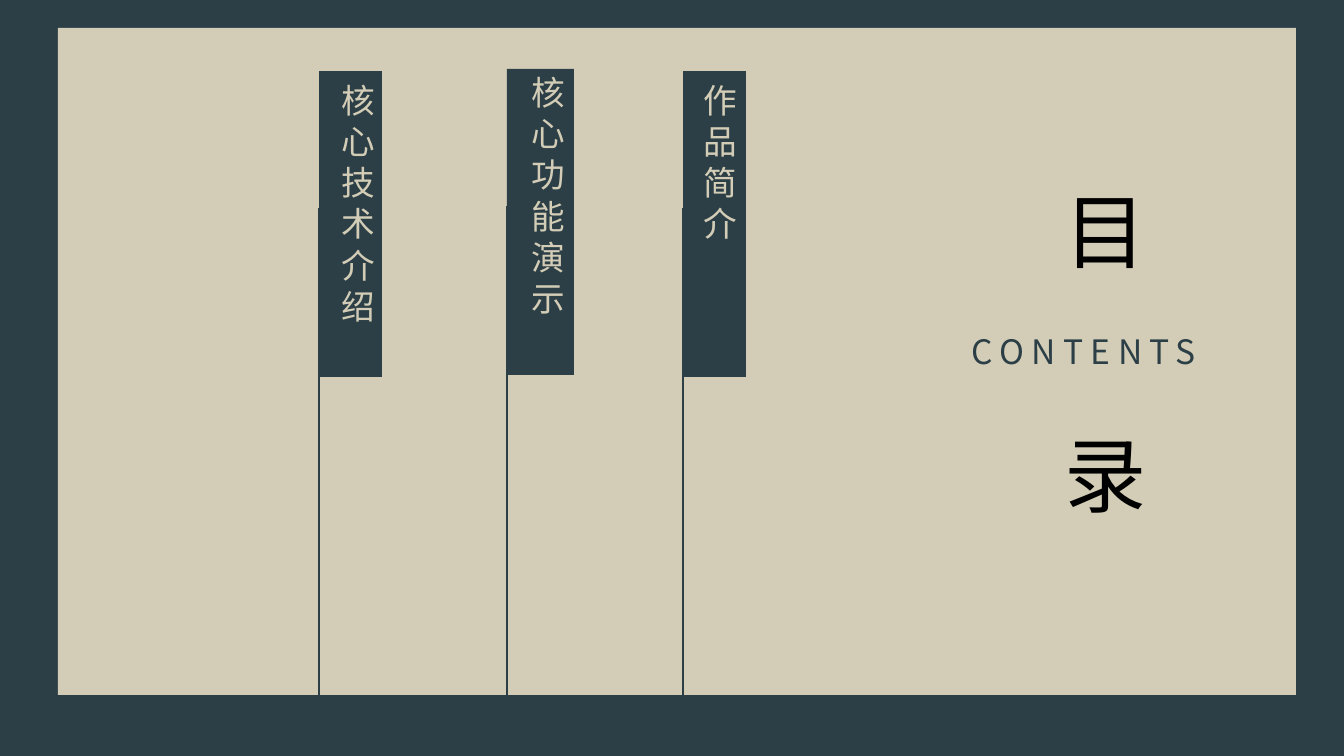
import pptx
import pptx.dml.color
import pptx.enum.shapes
import pptx.enum.text
import pptx.oxml.ns
import pptx.util
from lxml import etree

PX = 914400 / 134.4
SLATE = pptx.dml.color.RGBColor(0x2C, 0x3F, 0x46)
SAND = pptx.dml.color.RGBColor(0xD3, 0xCD, 0xB7)
BLUE = pptx.dml.color.RGBColor(0x3A, 0x5F, 0x8C)
BLACK = pptx.dml.color.RGBColor(0, 0, 0)
CJK_FONT = "Noto Sans CJK SC"
LEFT = pptx.enum.text.PP_ALIGN.LEFT
CENTER = pptx.enum.text.PP_ALIGN.CENTER

HEADING = {"name": "Calibri", "size": pptx.util.Pt(44), "bold": False}
LABEL = {"name": CJK_FONT, "size": pptx.util.Pt(18), "bold": False}

BANNER_HEIGHT = 306
STEM_OFFSET = 137
STEM_LENGTH = 492
# wording, banner left, top and width, text left and top
SECTIONS = [
    ("作品简介", (683, 71, 63), (679, 71)),
    ("核心功能演示", (507, 69, 67), (507, 63)),
    ("核心技术介绍", (319, 71, 63), (317, 71)),
]


def px(*lengths):
    return [pptx.util.Emu(round(length * PX)) for length in lengths]


def add_panel(shapes, box, color, outline=None):
    panel = shapes.add_shape(pptx.enum.shapes.MSO_SHAPE.RECTANGLE, *px(*box))
    panel.shadow.inherit = False
    panel.fill.solid()
    panel.fill.fore_color.rgb = color
    if outline is None:
        panel.line.fill.background()
    else:
        panel.line.color.rgb = outline
        panel.line.width = pptx.util.Pt(2)


def add_stem(shapes, x, top):
    stem = shapes.add_connector(
        pptx.enum.shapes.MSO_CONNECTOR.STRAIGHT, *px(x, top, x, top + STEM_LENGTH))
    stem.line.color.rgb = SLATE
    stem.line.width = pptx.util.Pt(0.75)
    etree.SubElement(stem._element.spPr, pptx.oxml.ns.qn("a:effectLst"))


def write_text(holder, wording, style, color, align=LEFT, vertical=False, spacing=0):
    """Fill a text box or placeholder; spacing is between letters, in points."""
    frame = holder.text_frame
    frame_format = {
        "word_wrap": True,
        "auto_size": pptx.enum.text.MSO_AUTO_SIZE.SHAPE_TO_FIT_TEXT,
        "vertical_anchor": pptx.enum.text.MSO_ANCHOR.TOP,
    }
    for key, value in frame_format.items():
        setattr(frame, key, value)
    if vertical:
        frame._txBody.bodyPr.set("vert", "eaVert")
    paragraph = frame.paragraphs[0]
    paragraph.alignment = align
    run = paragraph.add_run()
    run.text = wording
    for key, value in style.items():
        setattr(run.font, key, value)
    run.font.color.rgb = color
    properties = run._r.get_or_add_rPr()
    properties.set("spc", str(spacing * 100))
    east_asian = etree.SubElement(properties, pptx.oxml.ns.qn("a:ea"))
    east_asian.set("typeface", CJK_FONT)


def add_section(slide, wording, banner, text_at):
    left, top, width = banner
    group = slide.shapes.add_group_shape()
    add_stem(group.shapes, left, top + STEM_OFFSET)
    add_panel(group.shapes, (left, top, width, BANNER_HEIGHT), SLATE)
    label = slide.shapes.add_textbox(*px(*text_at, 67, BANNER_HEIGHT))
    write_text(label, wording, LABEL, SAND, CENTER, vertical=True, spacing=4)


def add_heading_character(slide, character, top, height):
    heading = slide.shapes.add_textbox(*px(1032, top, 126, height))
    write_text(heading, character, HEADING, BLACK, vertical=True)


def place_title(slide, wording):
    title = slide.shapes.title
    title.left, title.top, title.width, title.height = px(958, 324, 276, 54)
    write_text(title, wording, LABEL, SLATE, spacing=4)
    # The placeholder comes first in the tree, so bring it above the panels.
    slide.shapes._spTree.append(title._element)


def main():
    deck = pptx.Presentation()
    deck.slide_width, deck.slide_height = px(1344, 756)
    slide = deck.slides.add_slide(deck.slide_layouts[5])
    add_panel(slide.shapes, (-43, -46, 1481, 847), SLATE, BLUE)
    add_panel(slide.shapes, (58, 28, 1238, 667), SAND)
    for section in SECTIONS:
        add_section(slide, *section)
    add_heading_character(slide, "目", 177, 117)
    add_heading_character(slide, "录", 421, 126)
    place_title(slide, "CONTENTS")
    deck.save("out.pptx")


if __name__ == "__main__":
    main()
